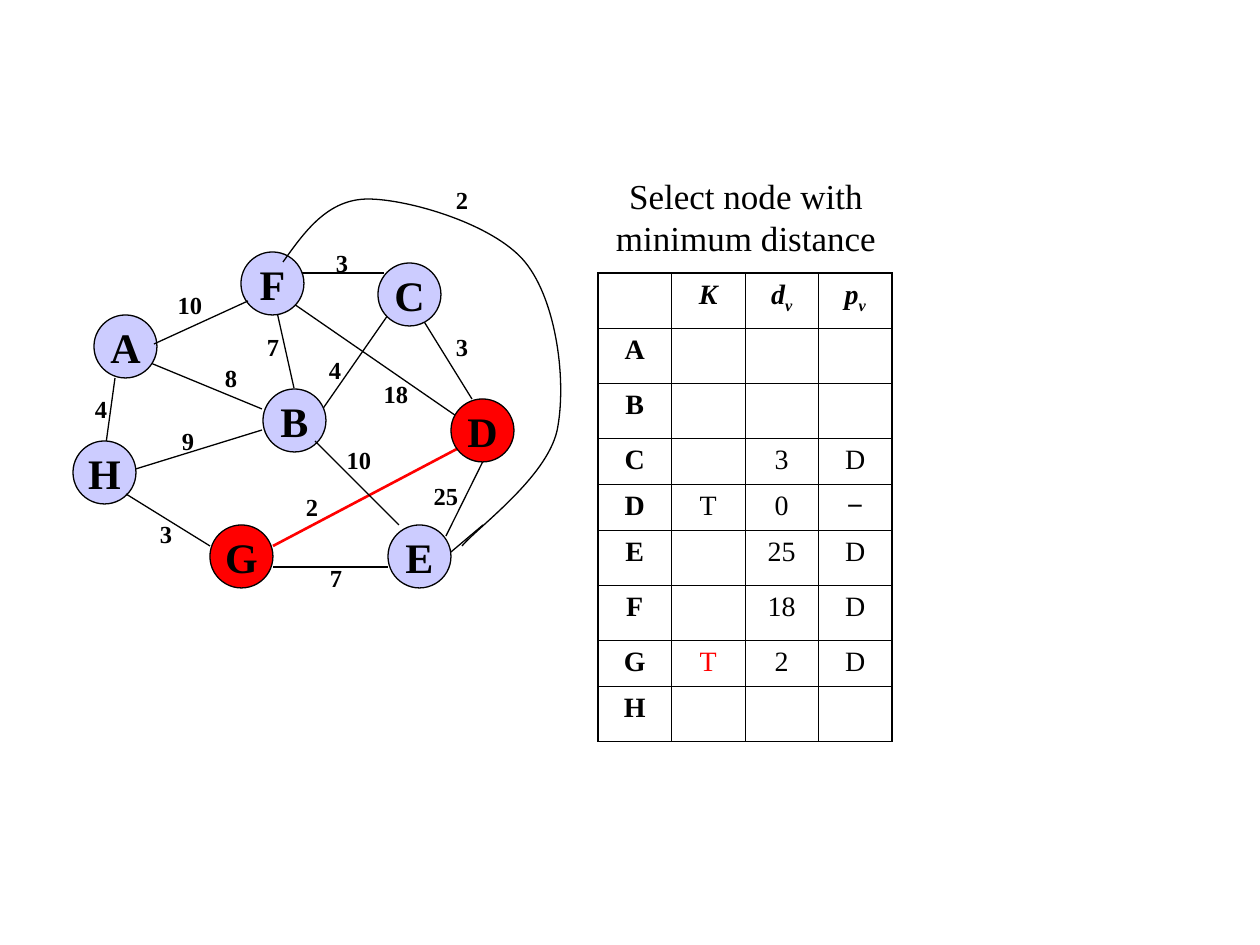
from lxml import etree
from pptx import Presentation
from pptx.dml.color import RGBColor
from pptx.enum.shapes import MSO_CONNECTOR, MSO_SHAPE
from pptx.enum.text import MSO_ANCHOR, PP_ALIGN
from pptx.oxml.ns import qn
from pptx.util import Pt

PX = 914400 / 126
STRAIGHT = MSO_CONNECTOR.STRAIGHT
ELLIPSE = MSO_SHAPE.OVAL
CENTER = PP_ALIGN.CENTER
MIDDLE = MSO_ANCHOR.MIDDLE

COLORS = {"ink": "000000", "node": "CCCCFF", "chosen": "FF0000"}
SERIF = "Times New Roman"
NODE_SIZE = 63
LABEL_HEIGHT = 43
SHORT_ROW = 46

# Top left corner of each node, relative to the graph
NODES = {"A": (21, 136), "H": (0, 262), "B": (190, 210), "F": (168, 73),
         "E": (315, 346), "D": (378, 220), "C": (305, 84), "G": (137, 346)}
CHOSEN_NODES = "DG"
EDGES_BEHIND = [
    (425, 252, 373, 357), (200, 115, 221, 209), (242, 241, 315, 136),
    (389, 241, 221, 125), (53, 293, 189, 251), (32, 272, 42, 199),
    (63, 178, 189, 230), (227, 94, 311, 94), (347, 136, 399, 220),
]
CHOSEN_EDGE = (200, 367, 399, 262)
EDGES_IN_FRONT = [
    (242, 262, 326, 346), (315, 388, 200, 388), (137, 367, 53, 315),
    (81, 165, 175, 122), (410, 346, 378, 373),
]
# Start point, then two control points and an end point for each segment
CURVED_EDGE = [
    (210, 83), (232, 52), (255, 20), (295, 20), (335, 20), (421, 45), (452, 83),
    (484, 122), (494, 204), (484, 252), (473, 299), (405, 348), (389, 367),
]
# Weight and centre of each edge label
WEIGHTS = [
    ("4", 28, 230), ("25", 373, 317), ("7", 263, 399), ("2", 239, 328),
    ("10", 286, 281), ("18", 323, 215), ("3", 389, 168), ("4", 262, 191),
    ("3", 269, 84), ("7", 200, 168), ("8", 158, 199), ("9", 115, 262),
    ("3", 93, 355), ("10", 117, 126), ("2", 389, 21),
]
DISTANCES = [
    ["", "K", "dv", "pv"],
    ["A", "", "", ""],
    ["B", "", "", ""],
    ["C", "", "3", "D"],
    ["D", "T", "0", "−"],
    ["E", "", "25", "D"],
    ["F", "", "18", "D"],
    ["G", "T", "2", "D"],
    ["H", "", "", ""],
]
SHORT_ROWS = "CDG"


def px(length):
    return round(length * PX)


def rgb(name):
    return RGBColor.from_string(COLORS[name])


def write(paragraph, text, size, color="ink", **formats):
    paragraph.alignment = CENTER
    run = paragraph.add_run()
    run.text = text
    run.font.color.rgb = rgb(color)
    for name, value in {"name": SERIF, "size": Pt(size), **formats}.items():
        setattr(run.font, name, value)
    return run


def add_text(slide, box, text, size, **formats):
    frame = slide.shapes.add_textbox(*map(px, box)).text_frame
    frame.word_wrap = True
    write(frame.paragraphs[0], text, size, **formats)


def add_edge(slide, origin, ends, color="ink", width=0.75):
    left, top = origin
    x1, y1, x2, y2 = ends
    edge = slide.shapes.add_connector(
        STRAIGHT, px(left + x1), px(top + y1), px(left + x2), px(top + y2))
    edge.line.color.rgb = rgb(color)
    edge.line.width = Pt(width)
    etree.SubElement(edge.element.spPr, qn("a:effectLst"))


def add_curved_edge(slide, origin, points):
    """Draw the outline, then join each three line steps into one Bezier step."""
    left, top = origin
    (start_x, start_y), *rest = [(left + x, top + y) for x, y in points]
    builder = slide.shapes.build_freeform(start_x, start_y, scale=PX)
    builder.add_line_segments(rest, close=False)
    curve = builder.convert_to_shape()
    curve.shadow.inherit = False
    curve.fill.background()
    curve.line.color.rgb = rgb("ink")
    curve.line.width = Pt(0.75)
    steps = list(curve.element.iter(qn("a:lnTo")))
    for first in range(0, len(steps), 3):
        bezier = etree.Element(qn("a:cubicBezTo"))
        steps[first].addprevious(bezier)
        for step in steps[first:first + 3]:
            bezier.append(step[0])
            step.getparent().remove(step)


def add_node(slide, left, top, name):
    node = slide.shapes.add_shape(
        ELLIPSE, px(left), px(top), px(NODE_SIZE), px(NODE_SIZE))
    node.shadow.inherit = False
    node.fill.solid()
    node.fill.fore_color.rgb = rgb("chosen" if name in CHOSEN_NODES else "node")
    node.line.color.rgb = rgb("ink")
    node.line.width = Pt(0.75)
    node.text_frame.word_wrap = False
    node.text_frame.vertical_anchor = MIDDLE
    write(node.text_frame.paragraphs[0], name, 24, bold=True)


def add_graph(slide, left, top):
    origin = (left, top)
    for ends in EDGES_BEHIND:
        add_edge(slide, origin, ends)
    add_edge(slide, origin, CHOSEN_EDGE, "chosen", 1.5)
    for name, (x, y) in NODES.items():
        add_node(slide, left + x, top + y, name)
    for ends in EDGES_IN_FRONT:
        add_edge(slide, origin, ends)
    add_curved_edge(slide, origin, CURVED_EDGE)
    for weight, x, y in WEIGHTS:
        width = 18 + 24 * len(weight)
        box = (left + x - width / 2, top + y - LABEL_HEIGHT / 2, width, LABEL_HEIGHT)
        add_text(slide, box, weight, 14, bold=True)


def set_borders(cell, outer_sides):
    properties = cell._tc.get_or_add_tcPr()
    for position, side in enumerate("LRTB"):
        width = Pt(1.08 if side in outer_sides else 0.45)
        line = etree.Element(qn(f"a:ln{side}"), w=str(width))
        fill = etree.SubElement(line, qn("a:solidFill"))
        etree.SubElement(fill, qn("a:srgbClr"), val=COLORS["ink"])
        properties.insert(position, line)


def fill_cell(cell, text, is_header, is_name):
    paragraph = cell.text_frame.paragraphs[0]
    if not text:
        cell.margin_top = cell.margin_bottom = 0
    elif is_header:
        write(paragraph, text[0], 16, bold=True, italic=True)
        if text[1:]:
            subscript = write(paragraph, text[1:], 16, bold=True, italic=True)
            subscript.font._element.set("baseline", "-25000")
    else:
        write(paragraph, text, 16, bold=is_name,
              name="Arial" if text == "−" else SERIF)


def add_distance_table(slide, left, top, width, height):
    row_count, column_count = len(DISTANCES), len(DISTANCES[0])
    table = slide.shapes.add_table(
        row_count, column_count, *map(px, (left, top, width, height))).table
    table.first_row = table.horz_banding = False
    for column in table.columns:
        column.width = px(width / column_count)
    tall_row = (height - SHORT_ROW * len(SHORT_ROWS)) / (row_count - len(SHORT_ROWS))
    for r, values in enumerate(DISTANCES):
        is_short = values[0] and values[0] in SHORT_ROWS
        table.rows[r].height = px(SHORT_ROW if is_short else tall_row)
        for c, text in enumerate(values):
            cell = table.cell(r, c)
            cell.fill.background()
            at_edge = {"L": c == 0, "R": c == column_count - 1,
                       "T": r == 0, "B": r == row_count - 1}
            set_borders(cell, [side for side in at_edge if at_edge[side]])
            fill_cell(cell, text, is_header=r == 0, is_name=c == 0)
    newly_chosen = table.cell(7, 1).text_frame.paragraphs[0].runs[0]
    newly_chosen.font.color.rgb = rgb("chosen")


def main():
    presentation = Presentation()
    presentation.slide_width, presentation.slide_height = px(1260), px(945)
    slide = presentation.slides.add_slide(presentation.slide_layouts[6])
    add_graph(slide, 73, 179)
    add_text(slide, (546, 168, 400, 97), "Select node with minimum distance", 20)
    add_distance_table(slide, 598, 273, 294, 468)
    presentation.save("out.pptx")


if __name__ == "__main__":
    main()
